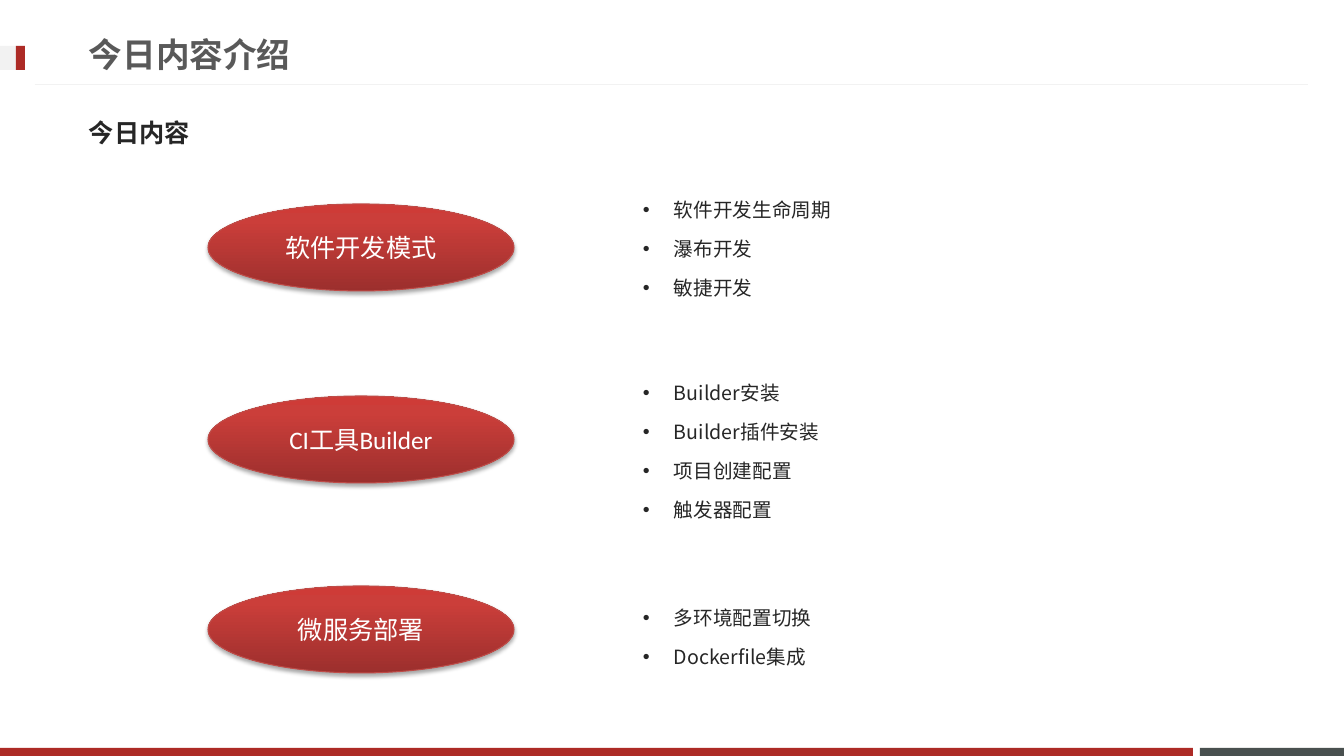
from lxml import etree
from pptx import Presentation
from pptx.dml.color import RGBColor
from pptx.enum.shapes import MSO_CONNECTOR, MSO_SHAPE
from pptx.enum.text import MSO_ANCHOR, PP_ALIGN
from pptx.oxml import parse_xml
from pptx.oxml.ns import nsdecls, qn
from pptx.util import Pt

RECT, OVAL = MSO_SHAPE.RECTANGLE, MSO_SHAPE.OVAL
STRAIGHT = MSO_CONNECTOR.STRAIGHT
MIDDLE, TOP, CENTER = MSO_ANCHOR.MIDDLE, MSO_ANCHOR.TOP, PP_ALIGN.CENTER
PX = 914400 / 100.8
CJK = "Noto Sans CJK JP"
RED, PALE, INK = "AD2B26", "F2F2F2", "262626"
STOPS = [(0, "9C2F2D"), (80, "CB3E3A"), (100, "CE3B37")]
TOPICS = [
    ("软件开发模式", 204, 181, ["软件开发生命周期", "瀑布开发", "敏捷开发"]),
    ("CI工具Builder", 396, 364,
     ["Builder安装", "Builder插件安装", "项目创建配置", "触发器配置"]),
    ("微服务部署", 586, 589, ["多环境配置切换", "Dockerfile集成"]),
]


def px(*values):
    """Turn pixel lengths into EMU."""
    return [round(v * PX) for v in values]


def rgb(color):
    """Turn a hex string into a colour."""
    return RGBColor.from_string(color)


def style(p, size, font, color, bold=False):
    """Format the runs of a paragraph."""
    for r in p.runs:
        r.font.size, r.font.name, r.font.bold = Pt(size), font, bold
        r.font.color.rgb = rgb(color)
        ea = etree.SubElement(r._r.get_or_add_rPr(), qn("a:ea"))
        ea.set("typeface", CJK)


def add_bar(s, x, y, w, h, color):
    """Add a plain filled rectangle."""
    sp = s.shapes.add_shape(RECT, *px(x, y, w, h))
    sp.shadow.inherit = False
    sp.fill.solid()
    sp.fill.fore_color.rgb = rgb(color)
    sp.line.fill.background()


def add_rule(s, x1, x2, y):
    """Add the thin horizontal rule below the title."""
    line = s.shapes.add_connector(STRAIGHT, *px(x1, y, x2, y))
    line.line.color.rgb = rgb(PALE)
    line.line.width = Pt(0.75)
    etree.SubElement(line._element.spPr, qn("a:effectLst"))


def add_text(s, x, y, w, h, text, anchor=MIDDLE):
    """Add a wrapping text box and return its text frame."""
    tf = s.shapes.add_textbox(*px(x, y, w, h)).text_frame
    tf.word_wrap = True
    tf.vertical_anchor = anchor
    tf.text = text
    return tf


def add_topic(s, x, y, w, h, text):
    """Add a glossy ellipse with a soft shadow and a centred label."""
    sp = s.shapes.add_shape(OVAL, *px(x, y, w, h))
    sp.line.color.rgb = rgb("BF4C48")
    sp.line.width = Pt(0.75)
    stops = "".join(f'<a:gs pos="{pos * 1000}"><a:srgbClr val="{color}"/></a:gs>'
                    for pos, color in STOPS)
    sp.fill.gradient()
    grad = sp._element.spPr.find(qn("a:gradFill"))
    grad.getparent().replace(grad, parse_xml(
        f'<a:gradFill {nsdecls("a")} rotWithShape="1"><a:gsLst>{stops}</a:gsLst>'
        '<a:lin ang="16200000" scaled="0"/></a:gradFill>'))
    sp._element.spPr.append(parse_xml(
        f'<a:effectLst {nsdecls("a")}><a:outerShdw blurRad="{Pt(3.1)}" '
        f'dist="{Pt(1.8)}" dir="5400000" rotWithShape="0"><a:srgbClr val="000000">'
        '<a:alpha val="35000"/></a:srgbClr></a:outerShdw></a:effectLst>'))
    tf = sp.text_frame
    tf.vertical_anchor = MIDDLE
    tf.text = text
    tf.paragraphs[0].alignment = CENTER
    style(tf.paragraphs[0], 18, "Calibri", "FFFFFF")


def add_bullets(s, x, y, w, items):
    """Add a bulleted list with one paragraph per item."""
    tf = add_text(s, x, y, w, 10 + 39 * len(items), "\n".join(items), TOP)
    indent = px(31)[0]
    for p in tf.paragraphs:
        p.line_spacing = 1.5
        p.space_before = Pt(2.8)
        pPr = p._p.get_or_add_pPr()
        pPr.set("marL", str(indent))
        pPr.set("indent", str(-indent))
        etree.SubElement(pPr, qn("a:buFont")).set("typeface", "Arial")
        etree.SubElement(pPr, qn("a:buChar")).set("char", "•")
        style(p, 14, CJK, INK)


def main():
    """Build the agenda slide."""
    prs = Presentation()
    prs.slide_width, prs.slide_height = px(1344, 756)
    s = prs.slides.add_slide(prs.slide_layouts[6])
    add_bar(s, 1200, 748, 144, 8, "49504F")
    add_bar(s, 0, 748, 1193, 8, RED)
    add_rule(s, 35, 1308, 85)
    add_bar(s, 0, 46, 25, 24, PALE)
    add_bar(s, 16, 46, 9, 24, RED)
    title = add_text(s, 79, 26, 967, 57, "今日内容介绍")
    style(title.paragraphs[0], 24, "Roboto", "595959", True)
    heading = add_text(s, 79, 104, 1179, 57, "今日内容")
    style(heading.paragraphs[0], 18, CJK, INK, True)
    for label, oval_y, list_y, items in TOPICS:
        add_topic(s, 208, oval_y, 306, 87, label)
        add_bullets(s, 633, list_y, 396, items)
    prs.save("out.pptx")


if __name__ == "__main__":
    main()
